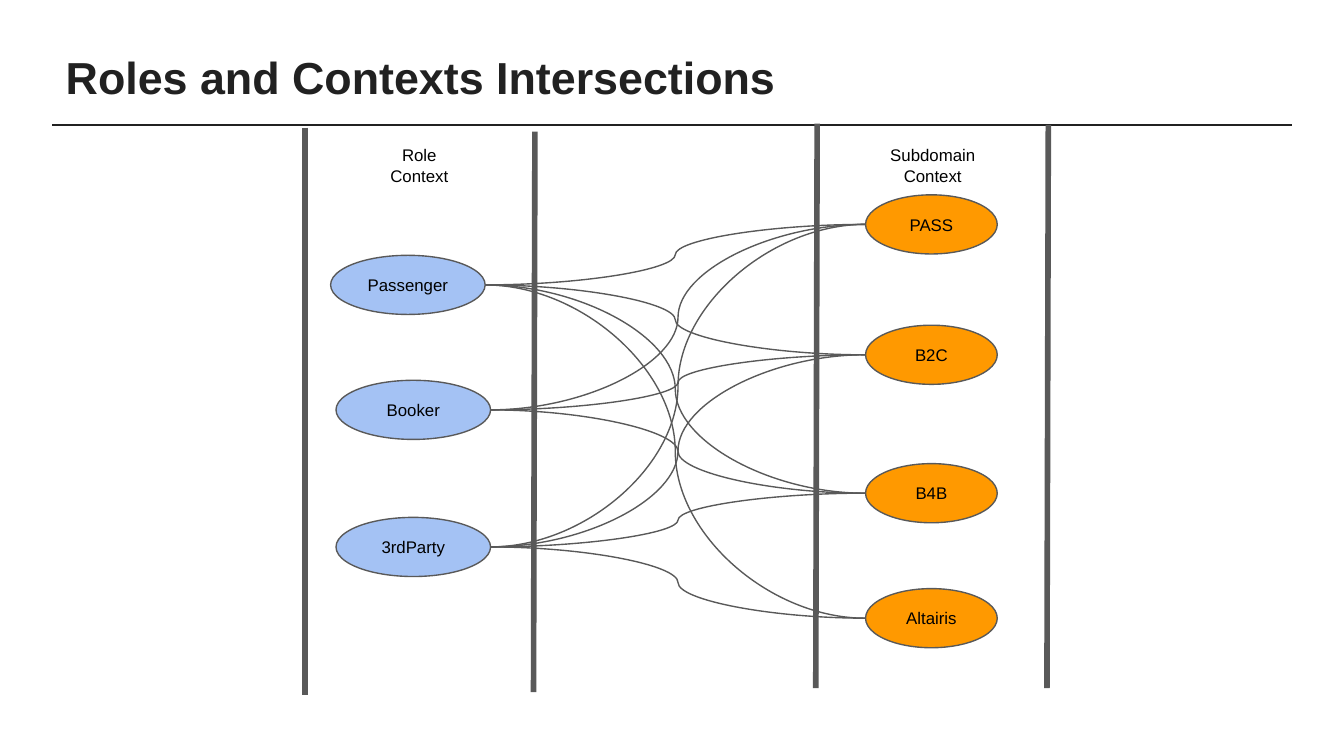
from dataclasses import dataclass

from pptx import Presentation
from pptx.dml.color import RGBColor
from pptx.enum.shapes import MSO_CONNECTOR, MSO_SHAPE
from pptx.enum.text import MSO_ANCHOR, PP_ALIGN
from pptx.oxml.ns import qn
from pptx.shapes.autoshape import Shape
from pptx.shapes.connector import Connector
from pptx.slide import Slide
from pptx.util import Inches, Pt


@dataclass(frozen=True)
class Theme:
    font: str = "Arial"
    title_color: str = "212121"
    text_color: str = "000000"
    line_color: str = "595959"
    role_fill: str = "A4C2F4"
    subdomain_fill: str = "FF9900"
    title_size: float = 24
    body_size: float = 9
    thin: float = 0.75
    thick: float = 3


@dataclass(frozen=True)
class Node:
    label: str
    left: float
    top: float
    width: float
    fill: str

    @property
    def middle(self) -> float:
        return self.top + NODE_HEIGHT / 2

    @property
    def right(self) -> float:
        return self.left + self.width


@dataclass(frozen=True)
class Bar:
    start: tuple[float, float]
    end: tuple[float, float]


THEME = Theme()
SLIDE_WIDTH = 10
SLIDE_HEIGHT = SLIDE_WIDTH * 9 / 16
NODE_HEIGHT = 0.44
ROLE_WIDTH = 1.15

SUBDOMAINS = [
    Node(label, 6.44, top, 0.98, THEME.subdomain_fill)
    for label, top in [("PASS", 1.45), ("B2C", 2.42), ("B4B", 3.45), ("Altairis", 4.38)]
]
PASSENGER = Node("Passenger", 2.46, 1.9, ROLE_WIDTH, THEME.role_fill)
BOOKER = Node("Booker", 2.5, 2.83, ROLE_WIDTH, THEME.role_fill)
THIRD_PARTY = Node("3rdParty", 2.5, 3.85, ROLE_WIDTH, THEME.role_fill)
LINKS = {
    PASSENGER: SUBDOMAINS,
    BOOKER: SUBDOMAINS[:3],
    THIRD_PARTY: SUBDOMAINS,
}
HEADINGS = [("Role\nContext", 2.47), ("Subdomain\nContext", 6.29)]
BARS = [
    Bar((3.98, 0.98), (3.97, 5.15)),
    Bar((2.27, 0.95), (2.27, 5.17)),
    Bar((7.8, 0.93), (7.79, 5.12)),
    Bar((6.08, 0.92), (6.07, 5.12)),
]


def write_text(
    shape: Shape,
    text: str,
    *,
    size: float = THEME.body_size,
    color: str = THEME.text_color,
    bold: bool = False,
    align: PP_ALIGN = PP_ALIGN.CENTER,
    anchor: MSO_ANCHOR = MSO_ANCHOR.TOP,
) -> None:
    frame = shape.text_frame
    frame.word_wrap = True
    frame.vertical_anchor = anchor
    frame.margin_left = frame.margin_right = Inches(0.1)
    frame.margin_top = frame.margin_bottom = Inches(0.1)
    frame.text = text
    for paragraph in frame.paragraphs:
        paragraph.alignment = align
        font = paragraph.runs[0].font
        font.name = THEME.font
        font.size = Pt(size)
        font.bold = bold
        font.color.rgb = RGBColor.from_string(color)


def add_text_box(
    slide: Slide, left: float, top: float, width: float, height: float
) -> Shape:
    return slide.shapes.add_textbox(
        Inches(left), Inches(top), Inches(width), Inches(height)
    )


def add_node(slide: Slide, node: Node) -> None:
    shape = slide.shapes.add_shape(
        MSO_SHAPE.OVAL,
        Inches(node.left),
        Inches(node.top),
        Inches(node.width),
        Inches(NODE_HEIGHT),
    )
    shape.shadow.inherit = False
    shape.fill.solid()
    shape.fill.fore_color.rgb = RGBColor.from_string(node.fill)
    shape.line.color.rgb = RGBColor.from_string(THEME.line_color)
    shape.line.width = Pt(THEME.thin)
    write_text(shape, node.label, anchor=MSO_ANCHOR.MIDDLE)


def add_line(
    slide: Slide,
    start: tuple[float, float],
    end: tuple[float, float],
    *,
    kind: MSO_CONNECTOR = MSO_CONNECTOR.STRAIGHT,
    color: str = THEME.line_color,
    width: float = THEME.thin,
) -> Connector:
    connector = slide.shapes.add_connector(
        kind, Inches(start[0]), Inches(start[1]), Inches(end[0]), Inches(end[1])
    )
    connector.line.color.rgb = RGBColor.from_string(color)
    connector.line.width = Pt(width)
    properties = connector._element.spPr
    properties.append(properties.makeelement(qn("a:effectLst"), {}))
    return connector


def main() -> None:
    presentation = Presentation()
    presentation.slide_width = Inches(SLIDE_WIDTH)
    presentation.slide_height = Inches(SLIDE_HEIGHT)
    slide = presentation.slides.add_slide(presentation.slide_layouts[6])

    add_line(slide, (0.39, 0.93), (9.61, 0.93), color=THEME.title_color)
    write_text(
        add_text_box(slide, 0.39, 0.2, 9.21, 0.67),
        "Roles and Contexts Intersections",
        size=THEME.title_size,
        color=THEME.title_color,
        bold=True,
        align=PP_ALIGN.LEFT,
        anchor=MSO_ANCHOR.BOTTOM,
    )

    for node in [*SUBDOMAINS, *LINKS]:
        add_node(slide, node)
    for role, subdomains in LINKS.items():
        for subdomain in subdomains:
            add_line(
                slide,
                (role.right, role.middle),
                (subdomain.left, subdomain.middle),
                kind=MSO_CONNECTOR.CURVE,
            )

    for heading, left in HEADINGS:
        write_text(add_text_box(slide, left, 0.98, 1.3, 0.44), heading)
    for bar in BARS:
        add_line(slide, bar.start, bar.end, width=THEME.thick)

    presentation.save("out.pptx")


if __name__ == "__main__":
    main()
